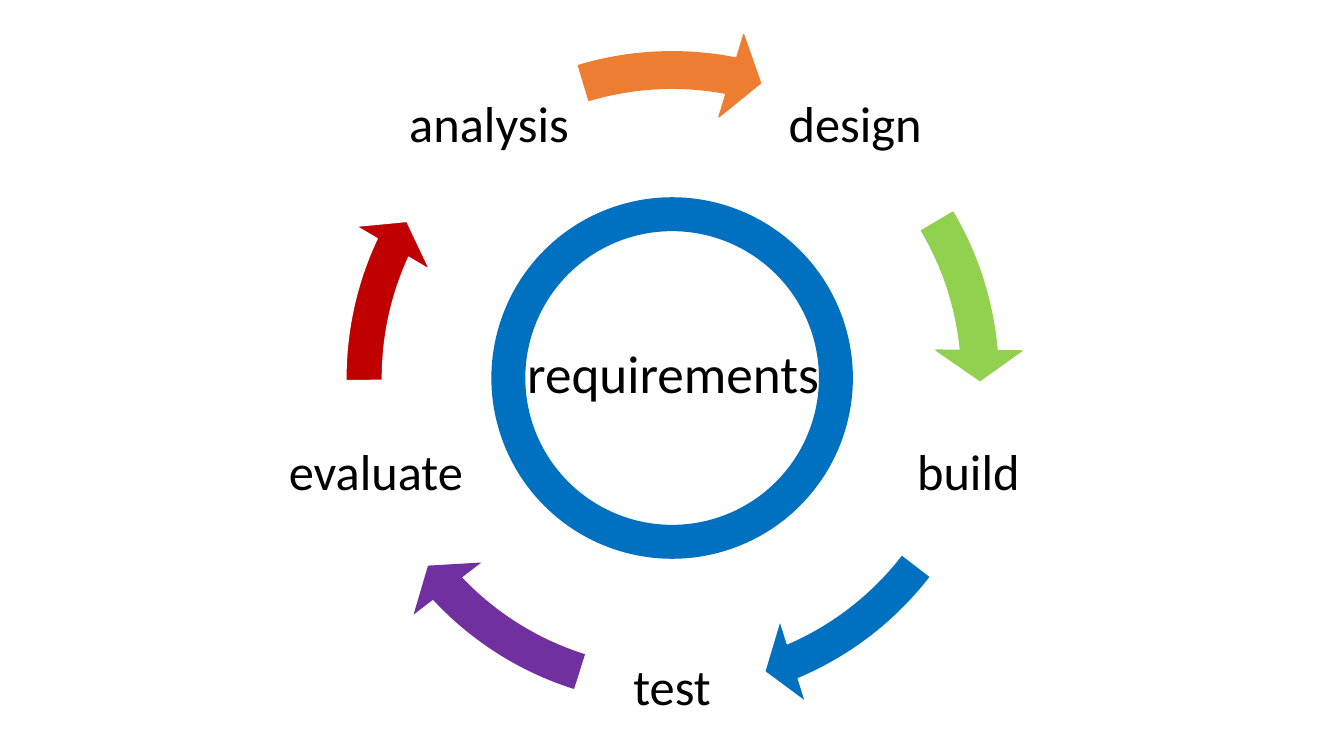
"""Build a slide showing a five-step development cycle around its requirements."""
from dataclasses import dataclass
from math import cos, radians, sin

from pptx import Presentation
from pptx.dml.color import RGBColor as Color
from pptx.enum.shapes import MSO_SHAPE as Preset
from pptx.enum.text import MSO_ANCHOR as Anchor, MSO_AUTO_SIZE as AutoSize, PP_ALIGN as Align
from pptx.util import Pt


@dataclass(frozen=True)
class Theme:
    font: str = "Calibri"
    text: str = "000000"
    white: str = "FFFFFF"
    green: str = "92D050"
    blue: str = "0070C0"
    purple: str = "7030A0"
    red: str = "C00000"
    orange: str = "ED7D31"
    step_size: float = 36
    center_size: float = 38


THEME = Theme()
CENTER_X, CENTER_Y = 480.1, 270
STEP_RADIUS, STEP_BOX = 222.5, 134
CYCLE_SIZE, RING_SIZE = 501, 234
STEPS = [
    ("design", THEME.green, THEME.green, 329.44, 354.89),
    ("build", THEME.blue, THEME.white, 37.56, 66.91),
    ("test", THEME.purple, None, 107.49, 136.84),
    ("evaluate", THEME.red, THEME.white, 179.52, 204.96),
    ("analysis", THEME.orange, THEME.orange, 253.31, 281.1),
]


def apply_format(target, values):
    for name, value in values.items():
        setattr(target, name, value)


def square(center_x, center_y, size):
    corner = (center_x - size / 2, center_y - size / 2)
    return [Pt(length) for length in (*corner, size, size)]


def add_label(shapes, text, box, size, frame_format, paragraph_format):
    frame = shapes.add_textbox(*box).text_frame
    apply_format(frame, {"word_wrap": True, **frame_format})
    paragraph = frame.paragraphs[0]
    apply_format(paragraph, paragraph_format)
    run = paragraph.add_run()
    run.text = text
    apply_format(run.font, {"name": THEME.font, "size": Pt(size)})
    run.font.color.rgb = Color.from_string(THEME.text)


def add_preset(shapes, preset, box, fill, line, line_width):
    shape = shapes.add_shape(preset, *box)
    shape.shadow.inherit = False
    for part, color in ((shape.fill, fill), (shape.line.fill, line)):
        if color:
            part.solid()
            part.fore_color.rgb = Color.from_string(color)
        else:
            part.background()
    if line:
        shape.line.width = Pt(line_width)
    return shape


def add_cycle_arrow(shapes, fill, line, start, end):
    box = square(CENTER_X, CENTER_Y, CYCLE_SIZE)
    arrow = add_preset(shapes, Preset.CIRCULAR_ARROW, box, fill, line, 1)
    units_per_degree = 0.6
    values = (0.052, 3.359, end * units_per_degree, start * units_per_degree, 0.061)
    for index, value in enumerate(values):
        arrow.adjustments[index] = value


def add_step_label(shapes, text, angle):
    x = CENTER_X + STEP_RADIUS * sin(radians(angle))
    y = CENTER_Y - STEP_RADIUS * cos(radians(angle))
    margins = {f"margin_{side}": Pt(3.6) for side in ("left", "right", "top", "bottom")}
    add_label(
        shapes, text, square(x, y, STEP_BOX), THEME.step_size,
        {"vertical_anchor": Anchor.MIDDLE, **margins},
        {"alignment": Align.CENTER, "line_spacing": 0.9, "space_after": Pt(12.6)},
    )


def main():
    presentation = Presentation()
    apply_format(presentation, {"slide_width": Pt(960), "slide_height": Pt(540)})
    slide = presentation.slides.add_slide(presentation.slide_layouts[6])
    cycle = slide.shapes.add_group_shape().shapes
    step_angle = 360 / len(STEPS)
    for index, (text, fill, line, start, end) in enumerate(STEPS):
        add_step_label(cycle, text, step_angle * (index + 0.5))
        add_cycle_arrow(cycle, fill, line, start, end)
    ring_box = square(CENTER_X, CENTER_Y, RING_SIZE)
    add_preset(slide.shapes, Preset.OVAL, ring_box, None, THEME.blue, 24.25)
    center_box = [Pt(length) for length in (369.5, 239.8, 237.6, 53.3)]
    add_label(
        slide.shapes, "requirements", center_box, THEME.center_size,
        {"auto_size": AutoSize.SHAPE_TO_FIT_TEXT}, {"alignment": Align.LEFT},
    )
    presentation.save("out.pptx")


if __name__ == "__main__":
    main()
